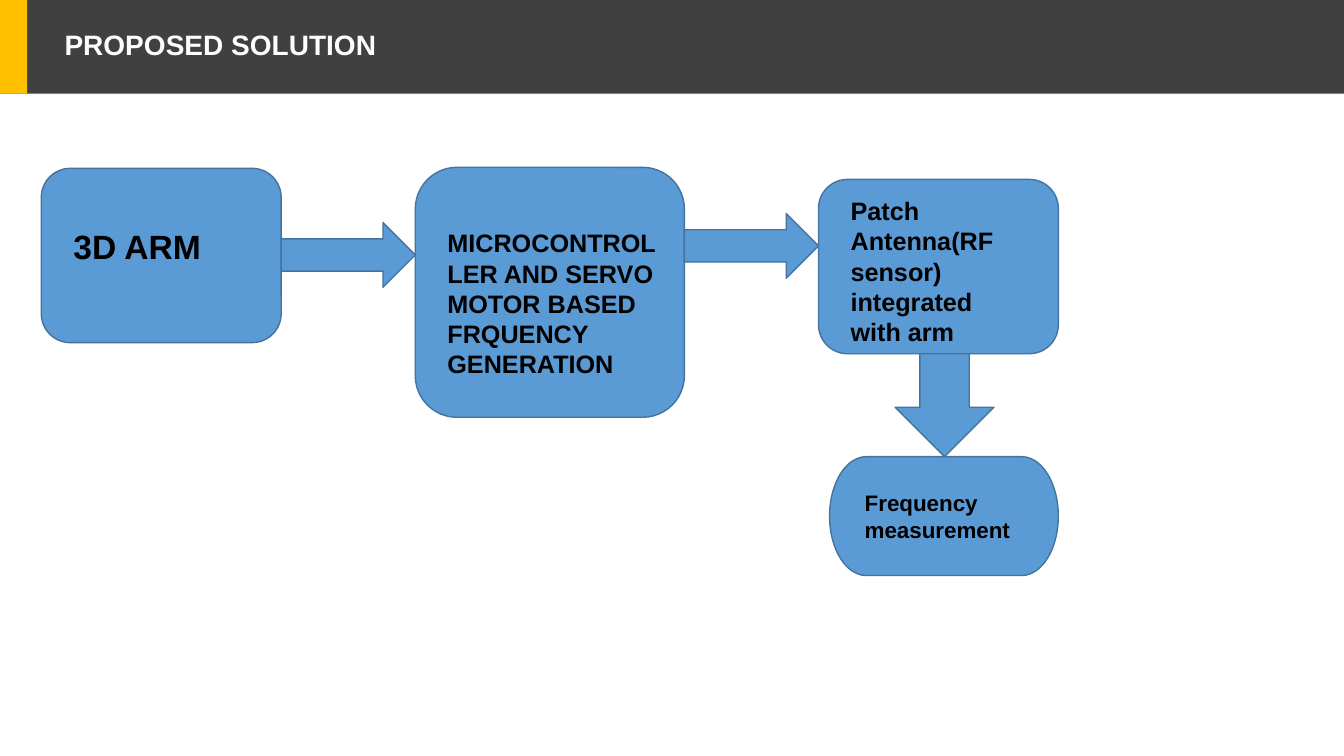
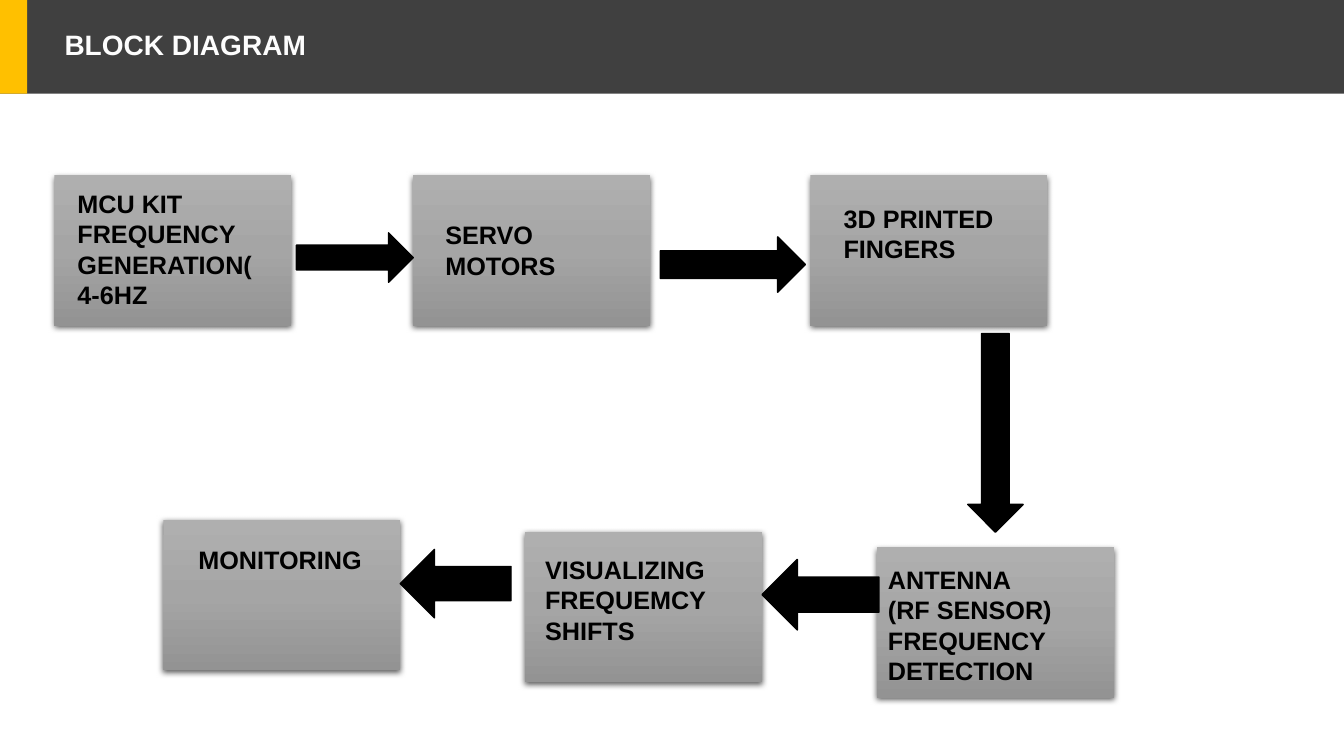
from pptx import Presentation
from pptx.dml.color import RGBColor
from pptx.enum.shapes import MSO_SHAPE
from pptx.enum.text import MSO_ANCHOR, MSO_AUTO_SIZE, PP_ALIGN
from pptx.oxml import parse_xml
from pptx.oxml.ns import nsdecls, qn
from pptx.util import Inches, Pt

SLIDE_WIDTH, SLIDE_HEIGHT = Inches(13.33), Inches(7.5)
COLUMNS, ROWS = 40, 30
FONT = "Arial"
BAND, ACCENT, TITLE = "404040", "FFC000", "FDFDFD"
BLUE, BLUE_EDGE, BLACK = "5B9BD5", "43739E", "000000"
GREY_STOPS = ((0, "AFAFAF"), (50, "A5A5A5"), (100, "939393"))
BAND_ROWS, ACCENT_COLUMNS = 3.72, 0.81
TITLE_AREA = (1.62, 1.04, 24, 1.6)


def color(hex_code):
    return RGBColor.from_string(hex_code)


def place(column, row, columns, rows):
    across, down = SLIDE_WIDTH / COLUMNS, SLIDE_HEIGHT / ROWS
    return (round(column * across), round(row * down),
            round(columns * across), round(rows * down))


def add_figure(slide, preset, area, fill=None, edge=None):
    figure = slide.shapes.add_shape(preset, *place(*area))
    figure.shadow.inherit = False
    if fill:
        figure.fill.solid()
        figure.fill.fore_color.rgb = color(fill)
    if edge:
        figure.line.color.rgb = color(edge)
        figure.line.width = Pt(1)
    else:
        figure.line.fill.background()
    return figure


def add_grey_block(slide, area):
    block = add_figure(slide, MSO_SHAPE.FLOWCHART_PROCESS, area)
    properties = block.element.spPr
    stops = "".join(
        f'<a:gs pos="{share * 1000}"><a:srgbClr val="{shade}"/></a:gs>'
        for share, shade in GREY_STOPS)
    properties.find(qn("a:prstGeom")).addnext(parse_xml(
        f'<a:gradFill {nsdecls("a")}><a:gsLst>{stops}</a:gsLst>'
        '<a:lin ang="5400000" scaled="0"/></a:gradFill>'))
    properties.find(qn("a:effectLst")).append(parse_xml(
        f'<a:outerShdw {nsdecls("a")} blurRad="{Pt(4.5)}" dist="{Pt(1.5)}" '
        'dir="5400000" algn="ctr" rotWithShape="0"><a:srgbClr val="000000">'
        '<a:alpha val="63000"/></a:srgbClr></a:outerShdw>'))


def style_paragraph(paragraph, size, shade):
    paragraph.font.name = FONT
    paragraph.font.size = Pt(size)
    paragraph.font.bold = True
    paragraph.font.color.rgb = color(shade)
    paragraph.alignment = PP_ALIGN.LEFT


def add_label(slide, area, words, size=18):
    frame = slide.shapes.add_textbox(*place(*area)).text_frame
    frame.word_wrap = True
    frame.text = words
    for paragraph in frame.paragraphs:
        style_paragraph(paragraph, size, BLACK)


def prepare_title(layout):
    title = layout.placeholders[0]
    title.left, title.top, title.width, title.height = place(*TITLE_AREA)
    title.text_frame.vertical_anchor = MSO_ANCHOR.MIDDLE
    title.text_frame.auto_size = MSO_AUTO_SIZE.NONE


def share_header(slide):
    accent = add_figure(slide, MSO_SHAPE.RECTANGLE,
                        (0, 0, ACCENT_COLUMNS, BAND_ROWS), ACCENT)
    band = add_figure(slide, MSO_SHAPE.RECTANGLE,
                      (0, 0, COLUMNS, BAND_ROWS), BAND)
    layout_tree = slide.slide_layout.shapes.element
    for part in (accent, band):
        layout_tree.insert(2, part.element)


def add_titled_slide(deck, layout, heading):
    slide = deck.slides.add_slide(layout)
    slide.shapes.title.text = heading
    paragraph = slide.shapes.title.text_frame.paragraphs[0]
    style_paragraph(paragraph, 20, TITLE)
    paragraph.line_spacing = 0.9
    return slide


def draw_solution(slide):
    rounded = MSO_SHAPE.ROUNDED_RECTANGLE
    right, down = MSO_SHAPE.RIGHT_ARROW, MSO_SHAPE.DOWN_ARROW
    for preset, area in (
        (rounded, (1.23, 6.68, 7.14, 6.92)),
        (rounded, (12.36, 6.64, 8.01, 9.92)),
        (rounded, (24.36, 7.12, 7.14, 6.92)),
        (MSO_SHAPE.FLOWCHART_TERMINATOR, (24.69, 18.12, 6.81, 4.72)),
        (right, (8.37, 8.84, 3.99, 2.56)),
        (right, (20.37, 8.48, 3.99, 2.56)),
        (down, (26.64, 14.04, 2.94, 4.08)),
    ):
        add_figure(slide, preset, area, BLUE, BLUE_EDGE)
    for area, words, size in (
        ((1.89, 8.76, 5.82, 2), "3D ARM", 24),
        ((13.02, 8.84, 6.96, 6.44),
         "MICROCONTROLLER AND SERVO MOTOR BASED FRQUENCY GENERATION", 18),
        ((25.02, 7.56, 5.79, 6.44),
         "Patch Antenna(RF sensor) integrated with arm", 18),
        ((25.44, 19.2, 5.34, 2.56), "Frequency measurement", 16),
    ):
        add_label(slide, area, words, size)


def draw_blocks(slide):
    for column, row in ((1.62, 6.96), (12.3, 6.96), (24.12, 6.96),
                        (26.1, 21.72), (15.63, 21.12), (4.86, 20.64)):
        add_grey_block(slide, (column, row, 7.05, 5.96))
    right, down, left = (MSO_SHAPE.RIGHT_ARROW, MSO_SHAPE.DOWN_ARROW,
                         MSO_SHAPE.LEFT_ARROW)
    for preset, area in (
        (right, (8.82, 9.24, 3.48, 1.96)),
        (right, (19.65, 9.4, 4.32, 2.2)),
        (down, (28.8, 13.24, 1.65, 7.88)),
        (left, (22.68, 22.2, 3.48, 2.8)),
        (left, (11.91, 21.8, 3.3, 2.72)),
    ):
        add_figure(slide, preset, area, BLACK, BLACK)
    for area, words in (
        ((2.01, 7.28, 5.79, 5.24), "MCU KIT\nFREQUENCY GENERATION(4-6HZ"),
        ((12.96, 8.52, 6.03, 2.84), "SERVO MOTORS"),
        ((24.81, 7.88, 5.4, 2.84), "3D PRINTED\nFINGERS"),
        ((26.13, 22.2, 6.96, 5.24),
         "ANTENNA\n(RF SENSOR) FREQUENCY DETECTION"),
        ((15.93, 21.8, 5.64, 4.04), "VISUALIZING FREQUEMCY SHIFTS"),
        ((5.61, 21.4, 5.58, 1.6), "MONITORING"),
    ):
        add_label(slide, area, words)


def main():
    deck = Presentation()
    deck.slide_width, deck.slide_height = SLIDE_WIDTH, SLIDE_HEIGHT
    layout = deck.slide_layouts.get_by_name("Title Only")
    prepare_title(layout)
    solution = add_titled_slide(deck, layout, "PROPOSED SOLUTION")
    share_header(solution)
    draw_solution(solution)
    draw_blocks(add_titled_slide(deck, layout, "BLOCK DIAGRAM"))
    deck.save("out.pptx")


if __name__ == "__main__":
    main()
